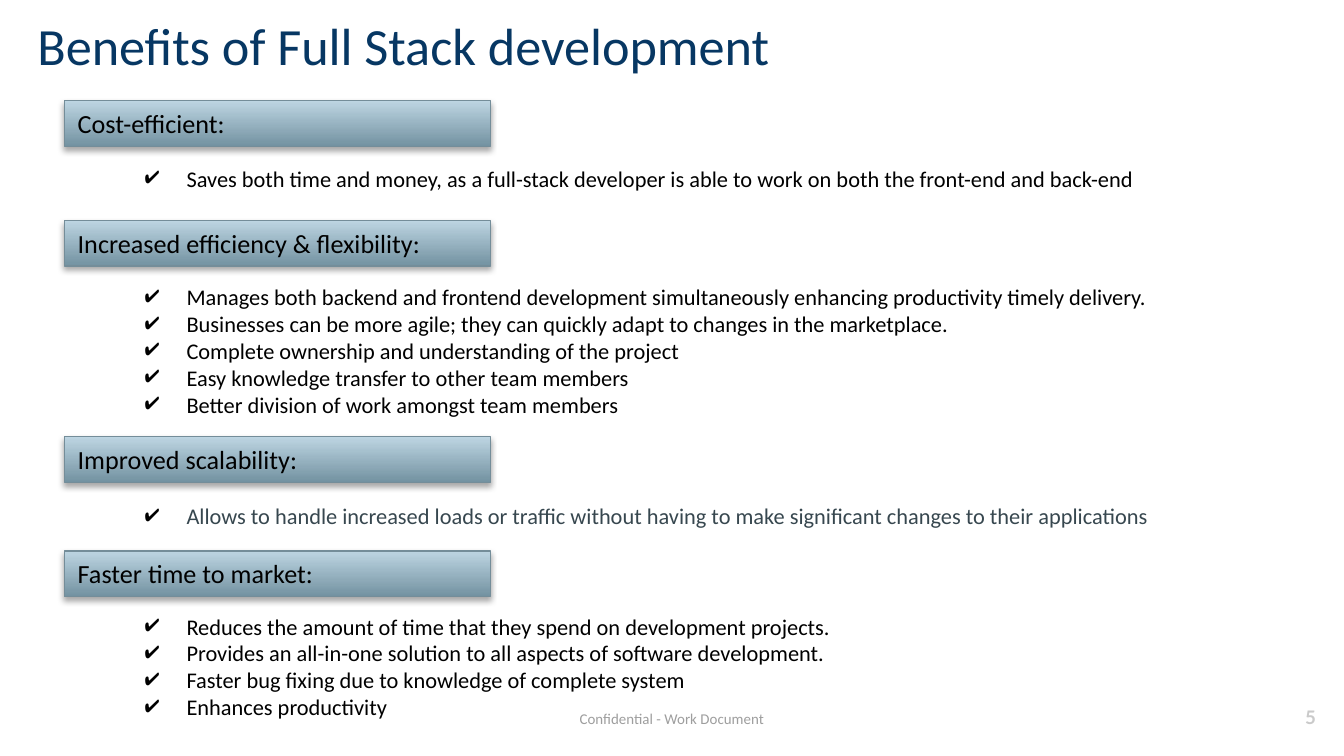
from dataclasses import dataclass

from lxml import etree
from pptx import Presentation
from pptx.dml.color import RGBColor
from pptx.enum.shapes import MSO_SHAPE
from pptx.enum.text import MSO_ANCHOR, MSO_AUTO_SIZE, PP_ALIGN
from pptx.oxml.ns import qn
from pptx.util import Inches, Pt

RECTANGLE = MSO_SHAPE.RECTANGLE
TOP, MIDDLE = MSO_ANCHOR.TOP, MSO_ANCHOR.MIDDLE
LEFT, CENTER, RIGHT = PP_ALIGN.LEFT, PP_ALIGN.CENTER, PP_ALIGN.RIGHT
GROW, FIXED = MSO_AUTO_SIZE.SHAPE_TO_FIT_TEXT, MSO_AUTO_SIZE.NONE

CELL = Inches(0.1)  # side of one square of the layout grid
COLUMNS, ROWS = 100, 56.25


@dataclass(frozen=True)
class Theme:
    font: str = "Calibri"
    number_font: str = "Lato"
    title: str = "073763"
    ink: str = "000000"
    slate: str = "37474F"
    footer: str = "9E9E9E"
    number: str = "CACACA"
    bar_bottom: str = "7392A1"
    bar_top: str = "BDD5E2"
    bar_line: str = "748D99"
    title_size: float = 28
    heading_size: float = 14
    body_size: float = 12
    number_size: float = 10
    footer_size: float = 8


@dataclass(frozen=True)
class Box:
    """A place on the grid, in columns and rows."""
    left: float
    top: float
    width: float
    height: float

    def lengths(self):
        return [round(n * CELL) for n in (self.left, self.top, self.width, self.height)]


@dataclass(frozen=True)
class Section:
    heading: str
    top: float
    list_top: float
    list_height: float
    items: tuple
    color: str = Theme.ink
    list_width: float = 87.4
    before: float = 0


THEME = Theme()
MARGIN = 4.8
BAR_WIDTH, BAR_HEIGHT = 31.7, 3.4
SECTIONS = (
    Section("Cost-efficient:", 7.5, 11.8, 3, (
        "Saves both time and money, as a full-stack developer is able to work on both the front-end and back-end",
    ), list_width=84.4, before=6),
    Section("Increased efficiency & flexibility:", 16.4, 20.6, 11.1, (
        "Manages both backend and frontend development simultaneously enhancing productivity timely delivery.",
        "Businesses can be more agile; they can quickly adapt to changes in the marketplace.",
        "Complete ownership and understanding of the project",
        "Easy knowledge transfer to other team members",
        "Better division of work amongst team members",
    )),
    Section("Improved scalability:", 32.5, 36.9, 3, (
        "Allows to handle increased loads or traffic without having to make significant changes to their applications",
    ), color=THEME.slate, before=6),
    Section("Faster time to market:", 41, 45.1, 9.1, (
        "Reduces the amount of time that they spend on development projects.",
        "Provides an all-in-one solution to all aspects of software development.",
        "Faster bug fixing due to knowledge of complete system",
        "Enhances productivity",
    )),
)


def write(shape, *lines, size, color, font=THEME.font, bold=False, align=LEFT,
          anchor=TOP, fit=GROW, inset=None, before=0, bullet=None):
    """Fill a shape with one paragraph for each line, all in the same format."""
    frame = shape.text_frame
    frame.word_wrap = True
    frame.auto_size = fit
    frame.vertical_anchor = anchor
    if inset is not None:
        frame.margin_left = frame.margin_right = Inches(inset)
        frame.margin_top = frame.margin_bottom = Inches(inset)
    for index, line in enumerate(lines):
        para = frame.add_paragraph() if index else frame.paragraphs[0]
        para.alignment = align
        para.space_before = Pt(before)
        span = para.add_run()
        span.text = line
        span.font.name = font
        span.font.size = Pt(size)
        span.font.bold = bold
        span.font.color.rgb = RGBColor.from_string(color)
        if bullet:
            add_bullet(para, bullet)


def add_bullet(para, mark):
    props = para._p.get_or_add_pPr()
    props.set("marL", str(Inches(0.81)))
    props.set("indent", str(Inches(-0.31)))
    tint = etree.SubElement(props, qn("a:buClr"))
    etree.SubElement(tint, qn("a:srgbClr"), val=THEME.ink)
    etree.SubElement(props, qn("a:buChar"), char=mark)


def add_shadow(shape):
    shape.shadow.inherit = False
    effects = shape._element.spPr.find(qn("a:effectLst"))
    shadow = etree.SubElement(effects, qn("a:outerShdw"), blurRad=str(Pt(3.1)),
                              dist=str(Pt(1.8)), dir="5400000", rotWithShape="0")
    tint = etree.SubElement(shadow, qn("a:srgbClr"), val=THEME.ink)
    etree.SubElement(tint, qn("a:alpha"), val="35000")


def add_text(page, box, *lines, **style):
    write(page.shapes.add_textbox(*box.lengths()), *lines, **style)


def add_heading_bar(page, box, heading):
    bar = page.shapes.add_shape(RECTANGLE, *box.lengths())
    bar.fill.gradient()
    bar.fill.gradient_angle = 90
    for stop, color, position in zip(bar.fill.gradient_stops,
                                     (THEME.bar_bottom, THEME.bar_top), (0, 1)):
        stop.color.rgb = RGBColor.from_string(color)
        stop.position = position
    bar.line.color.rgb = RGBColor.from_string(THEME.bar_line)
    bar.line.width = Pt(0.75)
    add_shadow(bar)
    write(bar, heading, size=THEME.heading_size, color=THEME.ink)


def add_section(page, section):
    add_heading_bar(page, Box(MARGIN, section.top, BAR_WIDTH, BAR_HEIGHT), section.heading)
    add_text(page, Box(MARGIN, section.list_top, section.list_width, section.list_height),
             *section.items, size=THEME.body_size, color=section.color,
             before=section.before, bullet="✔")


def add_title(page, box):
    add_text(page, box, "Benefits of Full Stack development",
             size=THEME.title_size, color=THEME.title, inset=0.1)


def add_footer(page, note_box, number_box):
    add_text(page, number_box, "5", size=THEME.number_size, color=THEME.number,
             font=THEME.number_font, bold=True, align=RIGHT, anchor=MIDDLE,
             fit=FIXED, inset=0.1)
    add_text(page, note_box, "Confidential - Work Document", size=THEME.footer_size,
             color=THEME.footer, align=CENTER, inset=0.1)


def main():
    deck = Presentation()
    deck.slide_width, deck.slide_height = round(COLUMNS * CELL), round(ROWS * CELL)
    page = deck.slides.add_slide(deck.slide_layouts[6])
    add_title(page, Box(1.8, 0, 64.9, 6.7))
    add_footer(page, Box(40.2, 52.1, 19.6, 3.4), Box(92.9, 51.2, 6, 4.3))
    for section in SECTIONS:
        add_section(page, section)
    deck.save("out.pptx")


if __name__ == "__main__":
    main()
